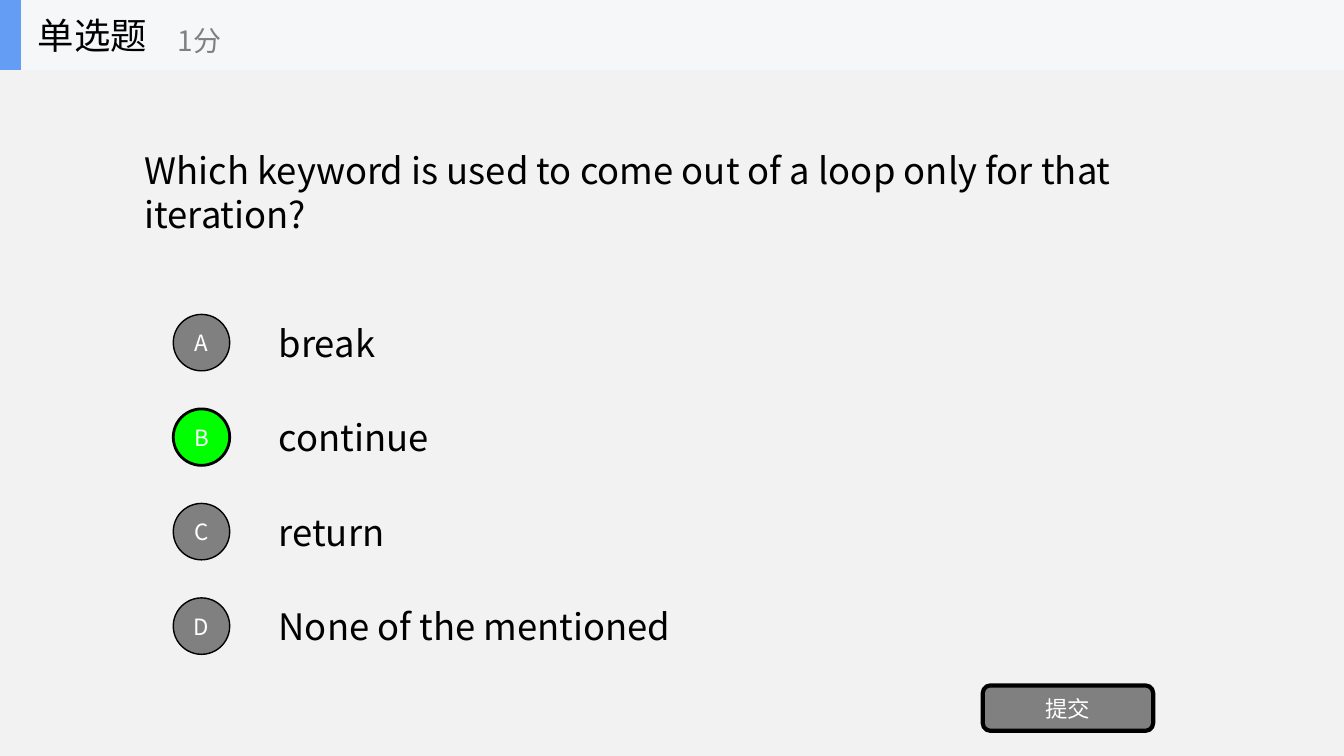
"""Build a single-choice quiz slide."""
from lxml.etree import SubElement
from pptx import Presentation
from pptx.dml.color import RGBColor
from pptx.enum.shapes import MSO_SHAPE as Shape
from pptx.enum.text import MSO_ANCHOR as Anchor, MSO_AUTO_SIZE as AutoSize, PP_ALIGN as Align
from pptx.oxml.ns import qn
from pptx.util import Pt

BLACK = RGBColor(0x00, 0x00, 0x00)
WHITE = RGBColor(0xFF, 0xFF, 0xFF)
GRAY = RGBColor(0x80, 0x80, 0x80)
GREEN = RGBColor(0x00, 0xFF, 0x00)
BLUE = RGBColor(0x63, 0x9E, 0xF4)
HEADER = RGBColor(0xF6, 0xF7, 0xF8)
BACKGROUND = RGBColor(0xF2, 0xF2, 0xF2)

OPTIONS = [("A", "break", 91.5), ("B", "continue", 131),
           ("C", "return", 98), ("D", "None of the mentioned", 314.6)]
CORRECT = "B"
FIRST_OPTION_TOP = 224.6
OPTION_STEP = 67.5
CIRCLE_SIZE = 40.3
LABEL_HEIGHT = 38.2


def write(shape, text, size=26, color=BLACK, align=Align.LEFT, font="Noto Sans CJK SC",
          spacing=None, inset=7.2):
    frame = shape.text_frame
    frame.word_wrap = True
    frame.auto_size = AutoSize.NONE
    frame.vertical_anchor = Anchor.MIDDLE
    frame.margin_left = frame.margin_right = Pt(inset)
    frame.margin_top = frame.margin_bottom = Pt(inset / 2)
    paragraph = frame.paragraphs[0]
    paragraph.alignment = align
    if spacing:
        paragraph.line_spacing = Pt(spacing)
    run = paragraph.add_run()
    run.text = text
    run.font.size = Pt(size)
    run.font.color.rgb = color
    run.font.name = font
    SubElement(run._r.get_or_add_rPr(), qn("a:ea")).set("typeface", font)


class QuizSlide:
    def __init__(self, presentation):
        self.slide = presentation.slides.add_slide(presentation.slide_layouts[5])
        fill = self.slide.background.fill
        fill.solid()
        fill.fore_color.rgb = BACKGROUND

    def question(self, text, left, top, width, height):
        title = self.slide.shapes.title
        title.left, title.top = Pt(left), Pt(top)
        title.width, title.height = Pt(width), Pt(height)
        write(title, text, spacing=31.4)

    def label(self, text, left, top, width, height, **style):
        box = self.slide.shapes.add_textbox(Pt(left), Pt(top), Pt(width), Pt(height))
        write(box, text, **style)

    def block(self, kind, left, top, width, height, color, outline=0):
        shape = self.slide.shapes.add_shape(kind, Pt(left), Pt(top), Pt(width), Pt(height))
        shape.shadow.inherit = False
        shape.fill.solid()
        shape.fill.fore_color.rgb = color
        if outline:
            shape.line.color.rgb = BLACK
            shape.line.width = Pt(outline)
        else:
            shape.line.fill.background()
        return shape

    def button(self, kind, text, left, top, width, height, color, outline):
        shape = self.block(kind, left, top, width, height, color, outline)
        write(shape, text, size=16, color=WHITE, align=Align.CENTER, inset=0)

    def option(self, letter, text, width, top):
        correct = letter == CORRECT
        self.label(text, 192, top + (CIRCLE_SIZE - LABEL_HEIGHT) / 2, width, LABEL_HEIGHT)
        self.button(Shape.OVAL, letter, 123.8, top, CIRCLE_SIZE, CIRCLE_SIZE,
                    GREEN if correct else GRAY, 2 if correct else 1)


def main():
    presentation = Presentation()
    presentation.slide_width, presentation.slide_height = Pt(960), Pt(540)
    quiz = QuizSlide(presentation)
    quiz.question("Which keyword is used to come out of a loop only for that iteration?",
                  96, 101.8, 747.4, 69.8)
    for index, (letter, text, width) in enumerate(OPTIONS):
        quiz.option(letter, text, width, FIRST_OPTION_TOP + index * OPTION_STEP)
    quiz.button(Shape.ROUNDED_RECTANGLE, "提交", 702, 489.6, 121.7, 32.4, GRAY, 3)
    quiz.block(Shape.RECTANGLE, 0, 0, 960, 50, HEADER)
    quiz.block(Shape.RECTANGLE, 0, 0, 15, 50, BLUE)
    quiz.label("单选题", 20, 0, 150, 50)
    quiz.label("1分", 120, 8.6, 180, 40.3, size=20, color=GRAY)
    presentation.save("out.pptx")


if __name__ == "__main__":
    main()
